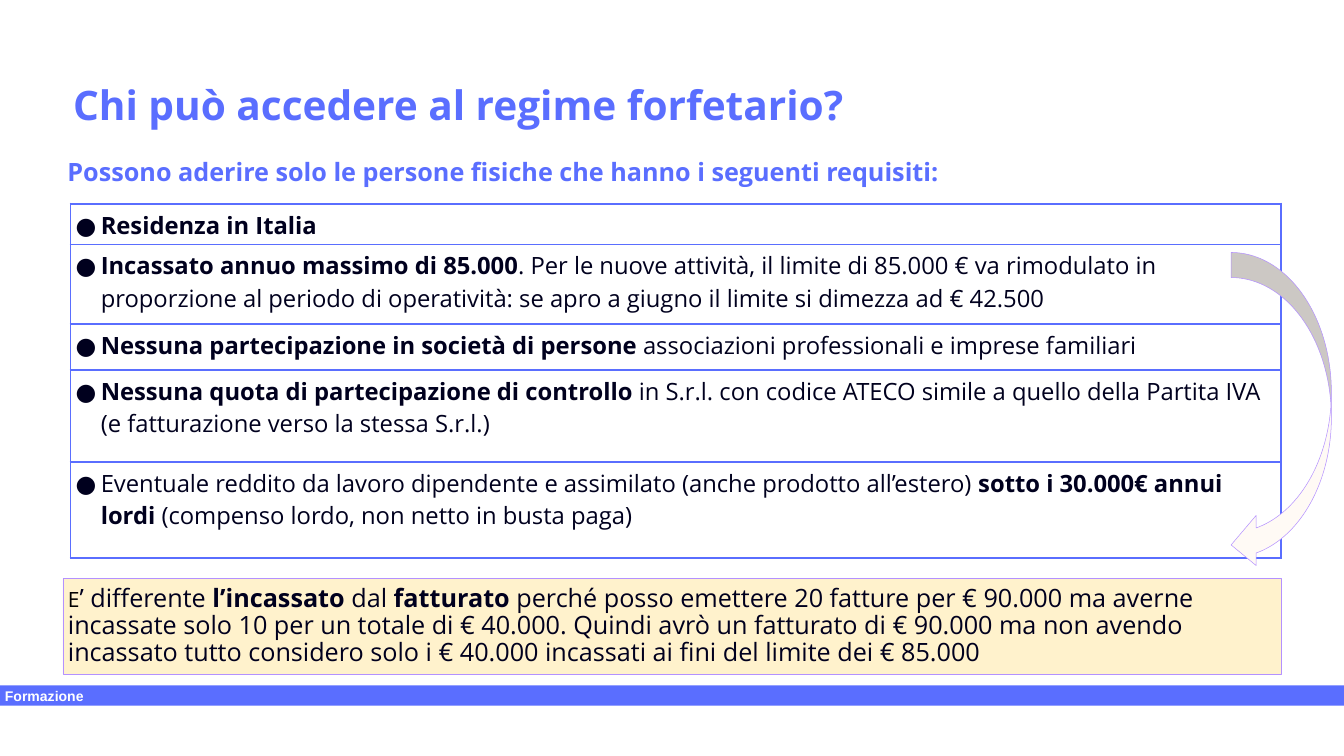
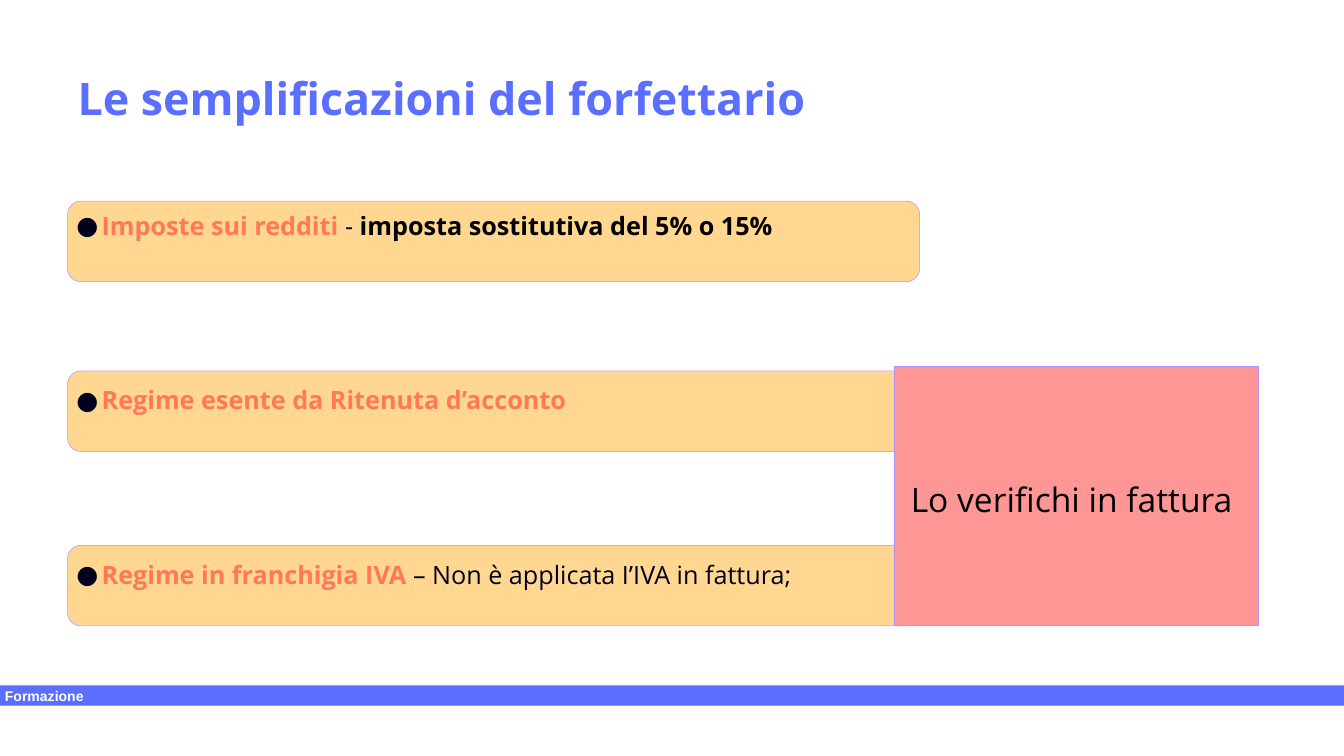
from lxml import etree
from pptx import Presentation
from pptx.dml.color import RGBColor
from pptx.enum.shapes import MSO_SHAPE
from pptx.enum.text import MSO_ANCHOR, PP_ALIGN
from pptx.oxml.ns import qn
from pptx.util import Inches, Pt

BLUE = RGBColor(0x5A, 0x6E, 0xFF)
NAVY = RGBColor(0x00, 0x00, 0x1E)
BLACK = RGBColor(0x00, 0x00, 0x00)
WHITE = RGBColor(0xFF, 0xFF, 0xFF)
CORAL = RGBColor(0xFF, 0x78, 0x5A)
PINK = RGBColor(0xFF, 0x96, 0x96)
ORANGE = RGBColor(0xFF, 0xD7, 0x91)
CREAM = RGBColor(0xFF, 0xF2, 0xCC)
IVORY = RGBColor(0xFF, 0xFA, 0xF5)
LILAC = RGBColor(0xB4, 0x91, 0xFF)

RECTANGLE = MSO_SHAPE.RECTANGLE
ROUNDED = MSO_SHAPE.ROUNDED_RECTANGLE
CURVED_ARROW = MSO_SHAPE.CURVED_LEFT_ARROW
TOP, MIDDLE = MSO_ANCHOR.TOP, MSO_ANCHOR.MIDDLE
LEFT, CENTER = PP_ALIGN.LEFT, PP_ALIGN.CENTER

BODY_FONT = "Open Sans"
FOOTER_FONT = "Arial"
WIDTH, HEIGHT = 26.67, 15


class Deck:
    def __init__(self):
        self.deck = Presentation()
        self.deck.slide_width = Inches(WIDTH)
        self.deck.slide_height = Inches(HEIGHT)
        self.page = None

    def add_page(self, title, left, size, spacing):
        """Start a slide with its title and footer band."""
        self.page = self.deck.slides.add_slide(self.deck.slide_layouts[6])
        self.text(left, 1, 24.17, 2, [(title, True, BLUE)], size,
                  spacing=spacing, anchor=MIDDLE, side=0.2)
        self.shape(RECTANGLE, 0, 13.6, WIDTH, 0.4, BLUE, None,
                   [("Formazione", True, WHITE)], 20, font=FOOTER_FONT)

    def fill_text(self, frame, spans, size, font=BODY_FONT, bullet=False,
                  align=LEFT, spacing=None, after=None):
        """Fill a frame with spans of (text, bold, colour[, size])."""
        frame.word_wrap = True
        para = frame.paragraphs[0]
        if bullet:
            self.bullet(para)
        para.alignment = align
        para.line_spacing = spacing
        if after is not None:
            para.space_after = Pt(after)
        for text, bold, colour, *own_size in spans:
            span = para.add_run()
            span.text = text
            span.font.name = font
            span.font.size = Pt(own_size[0] if own_size else size)
            span.font.bold = bold
            span.font.color.rgb = colour

    def bullet(self, para):
        properties = para._p.get_or_add_pPr()
        properties.set("marL", str(Inches(0.5)))
        properties.set("indent", str(Inches(-0.5)))
        colour = etree.SubElement(properties, qn("a:buClr"))
        etree.SubElement(colour, qn("a:srgbClr"), val=str(NAVY))
        etree.SubElement(properties, qn("a:buFont"), typeface=BODY_FONT)
        etree.SubElement(properties, qn("a:buChar"), char="●")

    def set_margins(self, holder, side=0.1):
        holder.margin_left = holder.margin_right = Inches(side)
        holder.margin_top = holder.margin_bottom = Inches(0.1)

    def text(self, left, top, width, height, spans, size,
             anchor=TOP, side=0.1, **style):
        box = self.page.shapes.add_textbox(
            Inches(left), Inches(top), Inches(width), Inches(height))
        box.text_frame.vertical_anchor = anchor
        self.set_margins(box.text_frame, side)
        self.fill_text(box.text_frame, spans, size, **style)

    def shape(self, kind, left, top, width, height, fill, line,
              spans=(), size=36, anchor=MIDDLE, **style):
        box = self.page.shapes.add_shape(
            kind, Inches(left), Inches(top), Inches(width), Inches(height))
        box.shadow.inherit = False
        box.fill.solid()
        box.fill.fore_color.rgb = fill
        if line is None:
            box.line.fill.background()
        else:
            box.line.color.rgb = line
            box.line.width = Pt(0.75)
        if spans:
            box.text_frame.vertical_anchor = anchor
            self.set_margins(box.text_frame)
            self.fill_text(box.text_frame, spans, size, **style)

    def table(self, left, top, width, rows, size):
        """Draw a one-column table from (height, spans) rows."""
        total = sum(height for height, _ in rows)
        table = self.page.shapes.add_table(
            len(rows), 1, Inches(left), Inches(top),
            Inches(width), Inches(total)).table
        table.first_row = table.horz_banding = False
        for index, (height, spans) in enumerate(rows):
            table.rows[index].height = Inches(height)
            cell = table.cell(index, 0)
            cell.fill.solid()
            cell.fill.fore_color.rgb = WHITE
            self.set_margins(cell)
            self.fill_text(cell.text_frame, spans, size, bullet=True)
            self.borders(cell)

    def borders(self, cell):
        properties = cell._tc.get_or_add_tcPr()
        for index, edge in enumerate(("a:lnL", "a:lnR", "a:lnT", "a:lnB")):
            line = etree.Element(qn(edge), w=str(Pt(3)))
            fill = etree.SubElement(line, qn("a:solidFill"))
            etree.SubElement(fill, qn("a:srgbClr"), val=str(BLUE))
            properties.insert(index, line)


def add_requirements(deck):
    deck.add_page("Chi può accedere al regime forfetario?", 1.25, 58, 1.15)
    deck.text(1.24, 3, 24.17, 0.81, [
        ("Possono aderire solo le persone fisiche che hanno i seguenti "
         "requisiti:", True, BLUE)], 36)

    # Requirements
    deck.table(1.4, 4.04, 24.02, [
        (0.81, [("Residenza in Italia", True, NAVY)]),
        (1.58, [
            ("Incassato annuo massimo di 85.000", True, NAVY),
            (". Per le nuove attività, il limite di 85.000 € va rimodulato "
             "in proporzione al periodo di operatività: se apro a giugno il "
             "limite si dimezza ad € 42.500", False, NAVY)]),
        (0.91, [
            ("Nessuna partecipazione in società di persone", True, NAVY),
            (" associazioni professionali e imprese familiari",
             False, NAVY)]),
        (1.83, [
            ("Nessuna quota di partecipazione di controllo", True, NAVY),
            (" in S.r.l. con codice ATECO simile a quello della Partita IVA "
             "(e fatturazione verso la stessa S.r.l.)", False, NAVY)]),
        (1.9, [
            ("Eventuale reddito da lavoro dipendente e assimilato (anche "
             "prodotto all’estero) ", False, NAVY),
            ("sotto i 30.000€ annui lordi ", True, NAVY),
            ("(compenso lordo, non netto in busta paga)", False, NAVY)]),
    ], 34)
    deck.shape(CURVED_ARROW, 24.43, 5.01, 1.99, 6.3, IVORY, LILAC)

    # Note on income received
    deck.shape(RECTANGLE, 1.25, 11.48, 24.17, 1.89, CREAM, LILAC, [
        ("E", False, BLACK, 30),
        ("’ differente ", False, NAVY),
        ("l’incassato ", True, NAVY),
        ("dal ", False, NAVY),
        ("fatturato ", True, NAVY),
        ("perché posso emettere 20 fatture per € 90.000 ma averne incassate "
         "solo 10 per un totale di € 40.000. Quindi avrò un fatturato di "
         "€ 90.000 ma non avendo incassato tutto considero solo i € 40.000 "
         "incassati ai fini del limite dei € 85.000", False, NAVY),
    ], spacing=0.9)


def add_simplifications(deck):
    deck.add_page("Le semplificazioni del forfettario", 1.34, 64, 0.9)

    # Simplification bars
    loose = {"spacing": 1.15}
    bars = [
        (3.99, {"after": 10}, [
            ("Imposte sui redditi", True, CORAL),
            (" - ", False, BLACK),
            ("imposta sostitutiva del 5% o 15%", True, BLACK)]),
        (7.36, loose, [
            ("Regime esente da Ritenuta d’acconto", True, CORAL)]),
        (10.82, loose, [
            ("Regime in franchigia IVA", True, CORAL),
            (" – Non è applicata I’IVA in fattura;", False, NAVY)]),
    ]
    for top, style, spans in bars:
        deck.shape(ROUNDED, 1.34, top, 16.91, 1.6, ORANGE, LILAC, spans,
                   anchor=TOP, bullet=True, **style)

    # Invoice callout
    deck.shape(RECTANGLE, 17.74, 7.27, 7.23, 5.14, PINK, LILAC,
               [("Lo verifichi in fattura ", False, BLACK)], 48,
               align=CENTER, spacing=1.15)


def main():
    deck = Deck()
    add_requirements(deck)
    add_simplifications(deck)
    deck.deck.save("out.pptx")


if __name__ == "__main__":
    main()
